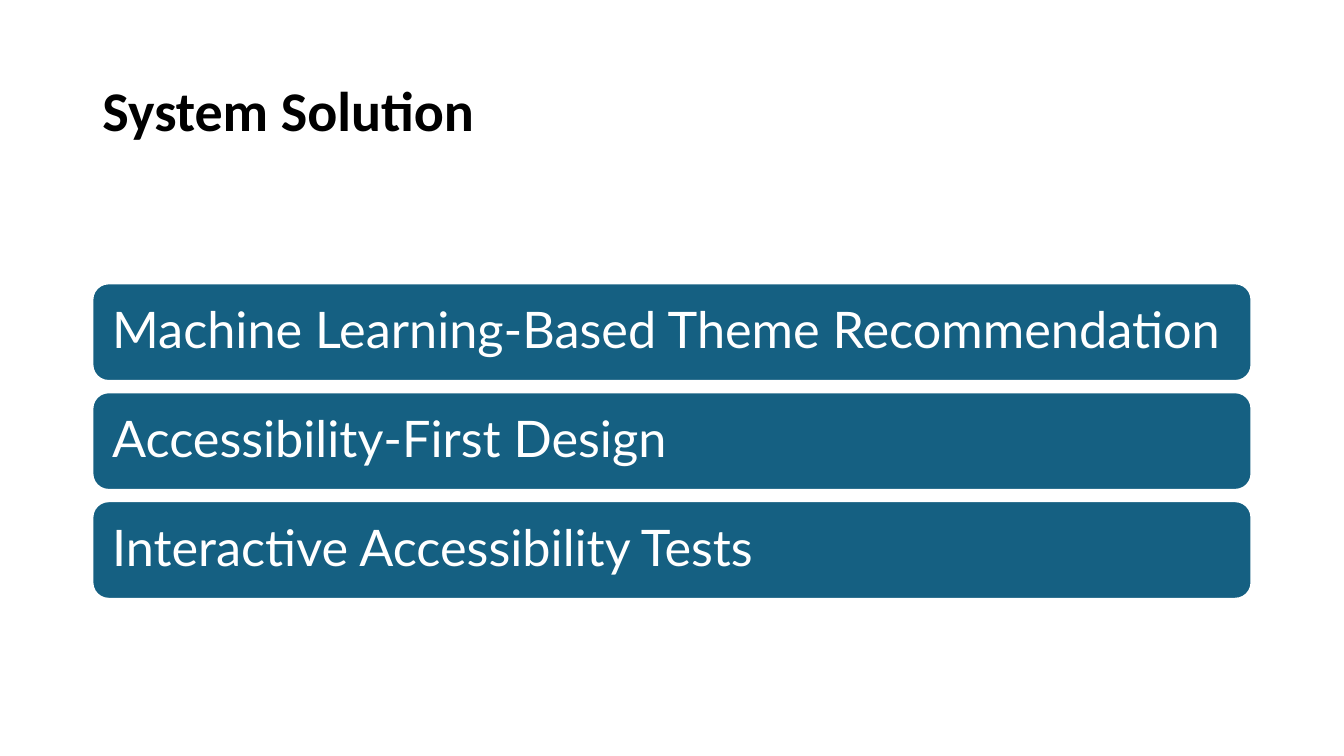
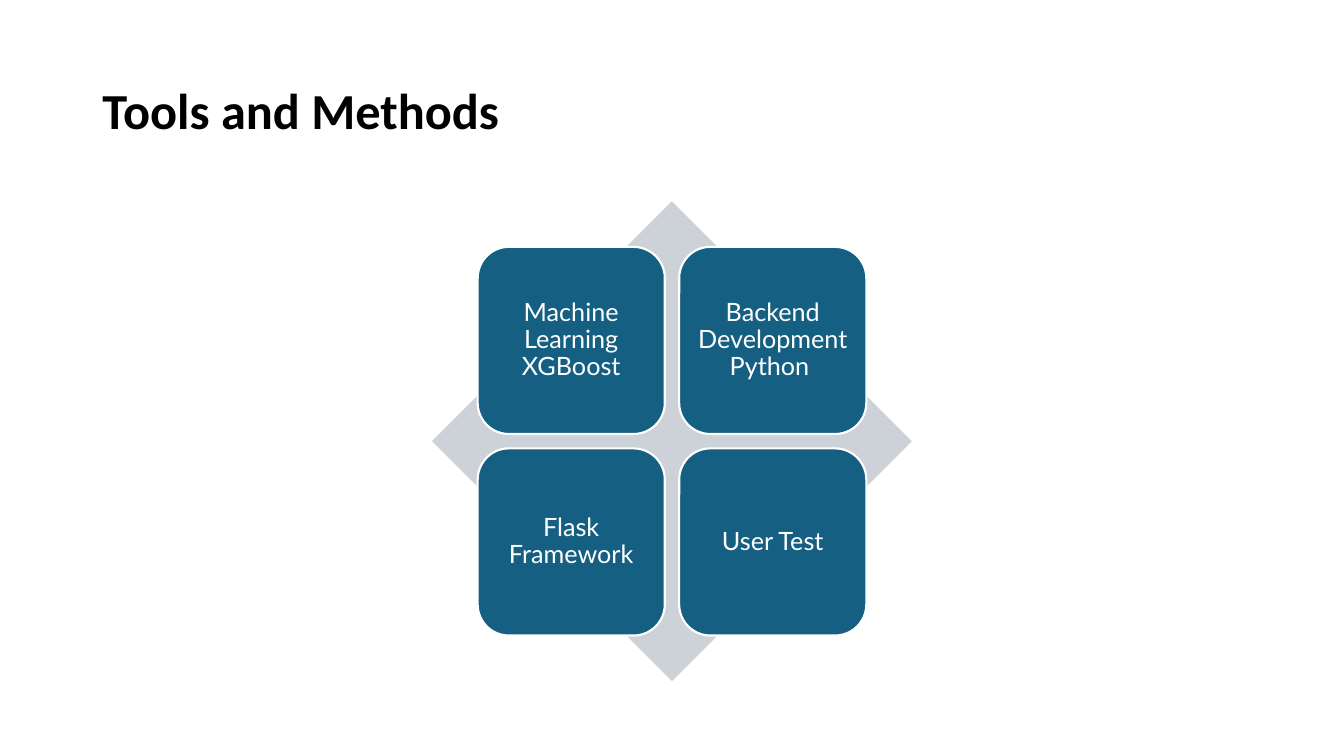
from pptx import Presentation
from pptx.dml.color import RGBColor
from pptx.enum.shapes import MSO_SHAPE
from pptx.enum.text import MSO_ANCHOR, MSO_AUTO_SIZE, PP_ALIGN
from pptx.util import Pt

TEAL, GREY, WHITE, BLACK = "156082", "CCD2D8", "FFFFFF", "000000"
TITLE_FONT, BODY_FONT = "Calibri", "Lato"
TITLE_BOX = (66, 28.8, 828, 104.4)


def color(fmt, value):
    fmt.rgb = RGBColor.from_string(value)


def set_text(sp, text, font, size, ink, align, bold=False):
    tf = sp.text_frame
    tf.text = text
    tf.word_wrap = True
    tf.auto_size = MSO_AUTO_SIZE.NONE
    tf.vertical_anchor = MSO_ANCHOR.MIDDLE
    p = tf.paragraphs[0]
    p.alignment = align
    p.line_spacing = 0.9
    r = p.runs[0]
    r.font.name = font
    r.font.size = Pt(size)
    r.font.bold = bold
    color(r.font.color, ink)


def add_titled_slide(prs, title, size):
    s = prs.slides.add_slide(prs.slide_layouts[5])
    sp = s.shapes.title
    sp.left, sp.top, sp.width, sp.height = map(Pt, TITLE_BOX)
    set_text(sp, title, TITLE_FONT, size, BLACK, PP_ALIGN.LEFT, bold=True)
    return s


def add_block(s, kind, box, fill):
    sp = s.shapes.add_shape(kind, *map(Pt, box))
    sp.shadow.inherit = False
    sp.fill.solid()
    color(sp.fill.fore_color, fill)
    sp.line.fill.background()
    return sp


def add_card(s, box, text, size, align, inset):
    sp = add_block(s, MSO_SHAPE.ROUNDED_RECTANGLE, box, TEAL)
    color(sp.line.color, WHITE)
    sp.line.width = Pt(1.5)
    tf = sp.text_frame
    tf.margin_left = tf.margin_top = tf.margin_right = tf.margin_bottom = Pt(inset)
    set_text(sp, text, BODY_FONT, size, WHITE, align)


def add_bar_list(s, box, labels, gap):
    x, y, w, h = box
    bar_h = (h - gap * (len(labels) - 1)) / len(labels)
    for i, label in enumerate(labels):
        bar = (x, y + i * (bar_h + gap), w, bar_h)
        add_card(s, bar, label, 36, PP_ALIGN.LEFT, 10.8)


def add_diamond_matrix(s, box, labels):
    x, y, size, _ = box
    add_block(s, MSO_SHAPE.DIAMOND, box, GREY)
    margin, tile, pitch = 0.095 * size, 0.39 * size, 0.42 * size
    for i, label in enumerate(labels):
        row, col = divmod(i, 2)
        cell = (x + margin + col * pitch, y + margin + row * pitch, tile, tile)
        add_card(s, cell, label, 18, PP_ALIGN.CENTER, 5)


def main():
    prs = Presentation()
    prs.slide_width, prs.slide_height = Pt(960), Pt(540)

    s = add_titled_slide(prs, "System Solution", 40)
    add_bar_list(s, (66, 202.4, 828, 225.4), [
        "Machine Learning-Based Theme Recommendation",
        "Accessibility-First Design",
        "Interactive Accessibility Tests",
    ], gap=8)

    s = add_titled_slide(prs, "Tools and Methods", 36)
    add_diamond_matrix(s, (308.65, 143.8, 342.7, 342.7), [
        "Machine Learning XGBoost",
        "Backend Development Python ",
        "Flask Framework",
        "User Test",
    ])

    prs.save("out.pptx")


if __name__ == "__main__":
    main()
